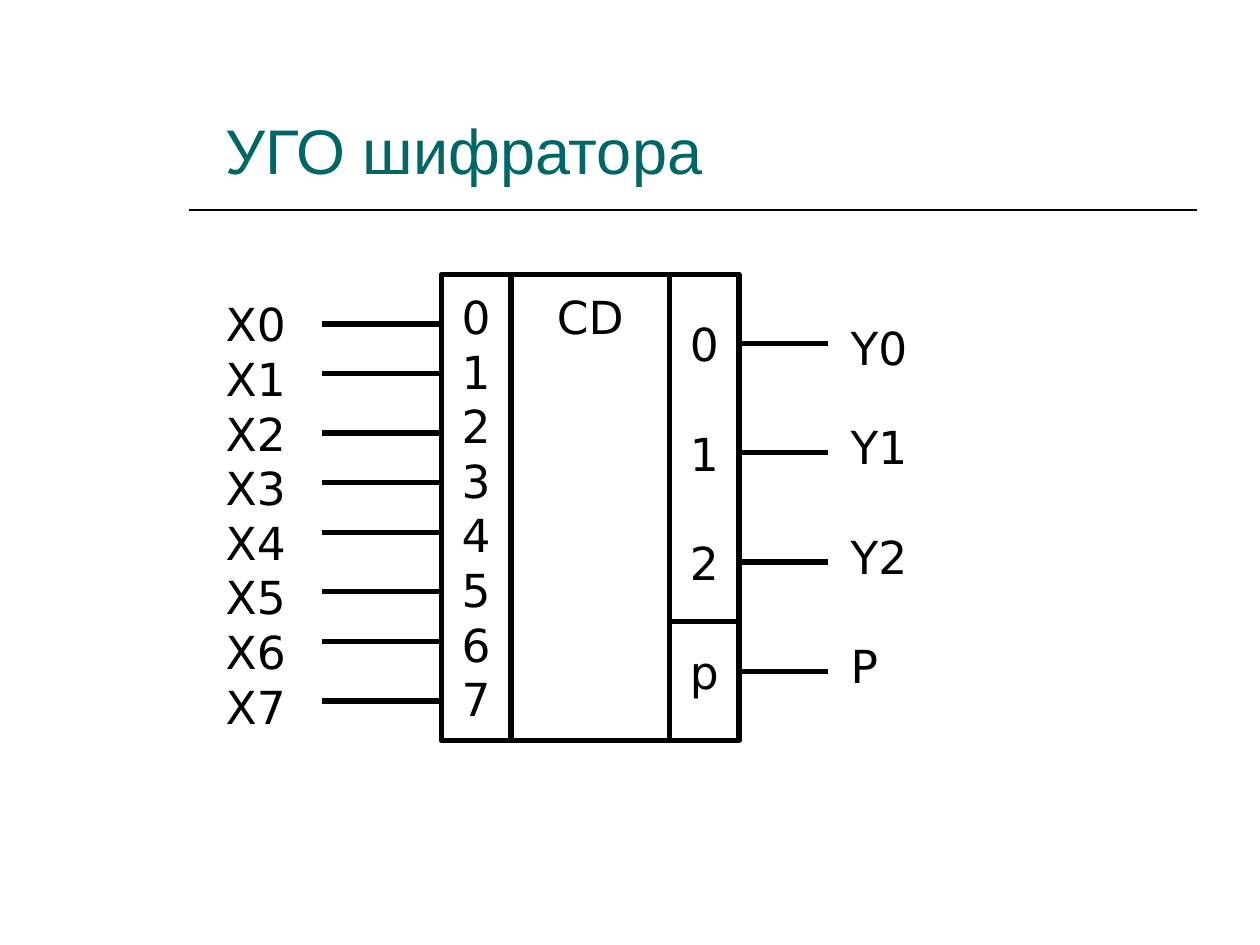
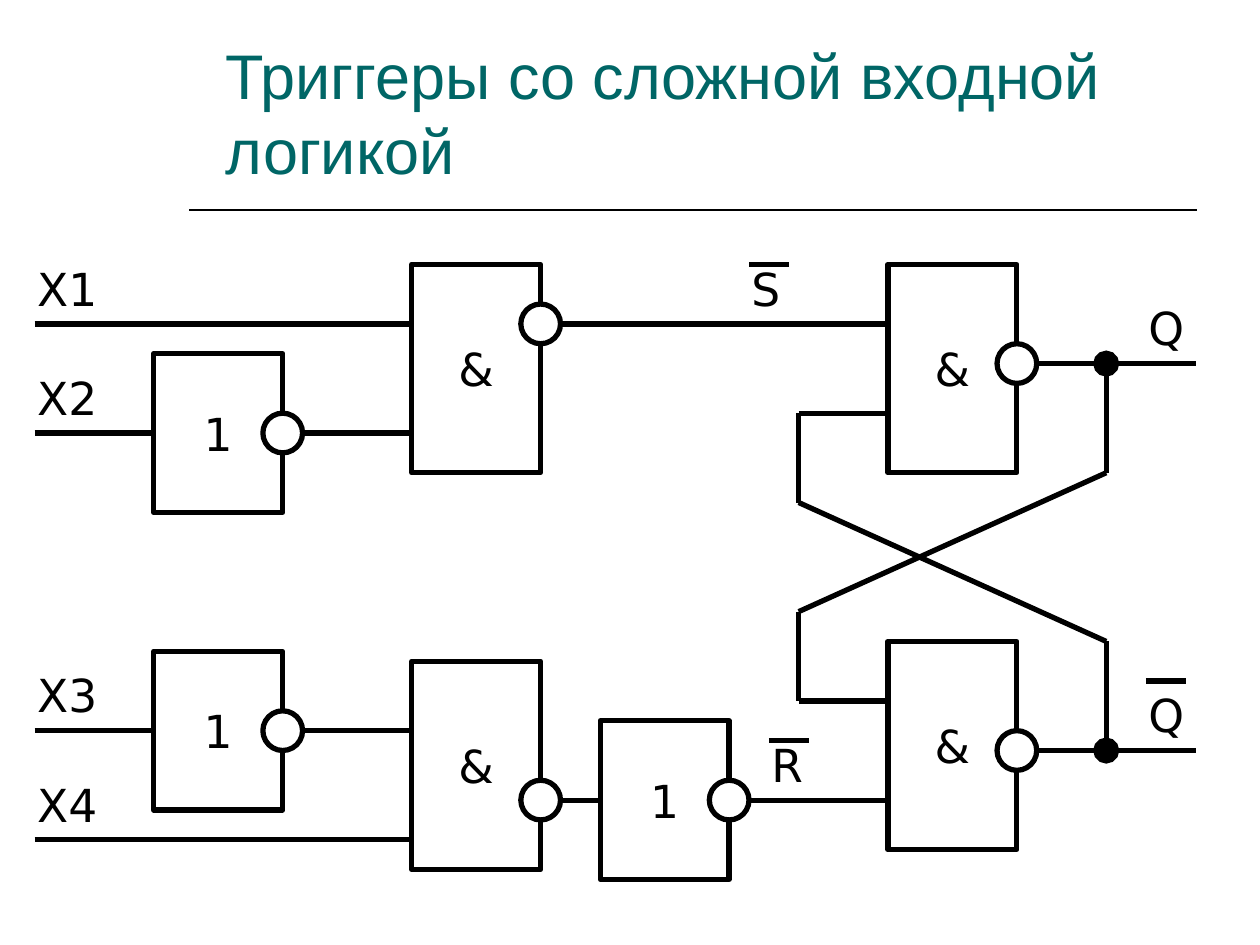
from itertools import pairwise

from lxml import etree
from pptx import Presentation
from pptx import util as u
from pptx.dml.color import RGBColor
from pptx.enum import shapes, text
from pptx.oxml.ns import qn

BLACK = RGBColor(0x00, 0x00, 0x00)
WHITE = RGBColor(0xFF, 0xFF, 0xFF)
TEAL = RGBColor(0x00, 0x66, 0x66)
TITLE_FONT = "Arial"
DIAGRAM_FONT = "DejaVu Sans"
LINE_HEIGHT = u.Pt(31.2)

GATE_WIDTH = 2.6
AND_HEIGHT = 4.2
NOT_HEIGHT = 3.2
BUBBLE = 0.8


def style_text(frame, size, font, color):
    """Give every run of a text frame the same font."""
    for para in frame.paragraphs:
        for span in para.runs:
            span.font.size = u.Pt(size)
            span.font.name = font
            span.font.color.rgb = color


def style_diagram_text(frame):
    """Set the font and the line pitch of diagram text."""
    style_text(frame, 26, DIAGRAM_FONT, BLACK)
    for para in frame.paragraphs:
        para.line_spacing = LINE_HEIGHT


def add_wire(page, points, width=3, dot=False):
    """Draw straight lines through the points, with an optional starting dot."""
    for number, (start, end) in enumerate(pairwise(points)):
        line = page.shapes.add_connector(
            shapes.MSO_CONNECTOR.STRAIGHT, *map(u.Cm, start + end))
        line.line.color.rgb = BLACK
        line.line.width = u.Pt(width)
        properties = line._element.spPr
        if dot and number == 0:
            etree.SubElement(properties.find(qn("a:ln")), qn("a:headEnd"),
                             type="oval", w="lg", len="lg")
        etree.SubElement(properties, qn("a:effectLst"))


def add_label(page, left, top, words, width=1.8, height=1.38):
    """Write a signal name or a column of names."""
    box = page.shapes.add_textbox(*map(u.Cm, (left, top, width, height)))
    frame = box.text_frame
    frame.word_wrap = True
    frame.text = words
    style_diagram_text(frame)


def add_outlined(page, kind, left, top, width, height):
    """Add a white shape with a thick black outline."""
    shape = page.shapes.add_shape(
        kind, *map(u.Cm, (left, top, width, height)))
    shape.shadow.inherit = False
    shape.fill.solid()
    shape.fill.fore_color.rgb = WHITE
    shape.line.color.rgb = BLACK
    shape.line.width = u.Pt(3)
    return shape


def add_block(page, left, top, width, height, words):
    """Add a rectangle with centred text and return its text frame."""
    block = add_outlined(page, shapes.MSO_SHAPE.RECTANGLE,
                         left, top, width, height)
    frame = block.text_frame
    frame.word_wrap = False
    frame.vertical_anchor = text.MSO_ANCHOR.MIDDLE
    frame.text = words
    style_diagram_text(frame)
    for para in frame.paragraphs:
        para.alignment = text.PP_ALIGN.CENTER
    return frame


def add_gate(page, left, top, height, sign, output):
    """Add a logic gate with an inverting output at the given height."""
    add_block(page, left, top, GATE_WIDTH, height, sign)
    add_outlined(page, shapes.MSO_SHAPE.OVAL, left + GATE_WIDTH - BUBBLE / 2,
                 output - BUBBLE / 2, BUBBLE, BUBBLE)


def add_page(deck, title):
    """Add a blank slide with the title and the rule below it."""
    page = deck.slides.add_slide(deck.slide_layouts[6])
    add_wire(page, [(3.81, 4.23), (24.13, 4.23)], width=1)
    box = page.shapes.add_textbox(*map(u.Cm, (4.3, 0.2, 19.9, 3.7)))
    frame = box.text_frame
    frame.word_wrap = True
    frame.vertical_anchor = text.MSO_ANCHOR.BOTTOM
    frame.text = title
    style_text(frame, 36, TITLE_FONT, TEAL)
    return page


def draw_encoder(page):
    """Draw the encoder symbol with its inputs and outputs."""
    top, height = 5.53, 9.4
    add_block(page, 8.9, top, 1.4, height, "\n".join(map(str, range(8))))
    name = add_block(page, 10.3, top, 3.2, height, "CD")
    name.vertical_anchor = text.MSO_ANCHOR.TOP
    name.margin_top = u.Cm(0.3)
    outputs = add_block(page, 13.5, top, 1.4, height, "0\n1\n2\np")
    for para in outputs.paragraphs[1:]:
        para.space_before = LINE_HEIGHT
    add_wire(page, [(13.5, 12.53), (14.9, 12.53)])

    for y in (6.53, 7.53, 8.73, 9.73, 10.73, 11.93, 12.93, 14.13):
        add_wire(page, [(6.5, y), (8.9, y)])
    add_label(page, 4.3, 5.85, "\n".join(f"X{i}" for i in range(8)),
              height=9.07)

    for i, (signal, rise) in enumerate(
            [("Y0", 0.6), ("Y1", 0.8), ("Y2", 0.8), ("P", 0.8)]):
        y = 6.93 + 2.2 * i
        add_wire(page, [(14.9, y), (16.7, y)])
        add_label(page, 16.9, y - rise, signal)


def draw_trigger(page):
    """Draw the trigger with its input logic."""
    straight_wires = [
        (0.7, 8.3, 6.53), (0.7, 3.1, 8.73), (6.1, 8.3, 8.73),
        (0.7, 3.1, 14.73), (6.1, 8.3, 14.73), (0.7, 8.3, 16.93),
        (11.3, 17.9, 6.53), (11.3, 12.1, 16.13), (15.1, 17.9, 16.13),
        (20.5, 24.1, 7.33), (20.5, 24.1, 15.13),
    ]
    overlines = [(15.1, 15.9, 5.33), (15.5, 16.3, 14.93), (23.1, 23.9, 13.73)]
    for start, end, y in straight_wires + overlines:
        add_wire(page, [(start, y), (end, y)])

    # Each output feeds back to the other gate.
    for output, upper, lower, entry in [(7.33, 9.53, 12.33, 14.13),
                                        (15.13, 12.93, 10.13, 8.33)]:
        add_wire(page, [(22.3, output), (22.3, upper), (16.1, lower),
                        (16.1, entry), (17.9, entry)], dot=True)

    for left, top, output in [(8.3, 5.33, 6.53), (8.3, 13.33, 16.13),
                              (17.9, 5.33, 7.33), (17.9, 12.93, 15.13)]:
        add_gate(page, left, top, AND_HEIGHT, "&", output)
    for left, output in [(3.1, 8.73), (3.1, 14.73), (12.1, 16.13)]:
        add_gate(page, left, output - NOT_HEIGHT / 2, NOT_HEIGHT, "1", output)

    for left, wire, signal in [
            (0.5, 6.53, "X1"), (0.5, 8.73, "X2"), (0.5, 14.73, "X3"),
            (0.5, 16.93, "X4"), (14.9, 6.53, "S"), (15.3, 16.13, "R"),
            (22.9, 7.33, "Q"), (22.9, 15.13, "Q")]:
        add_label(page, left, wire - 1.4, signal)


def main():
    """Build the two slides and save the deck."""
    deck = Presentation()
    deck.slide_width, deck.slide_height = u.Cm(25.4), u.Cm(19.05)
    draw_encoder(add_page(deck, "УГО шифратора"))
    draw_trigger(add_page(deck, "Триггеры со сложной входной логикой"))
    deck.save("out.pptx")


main()
